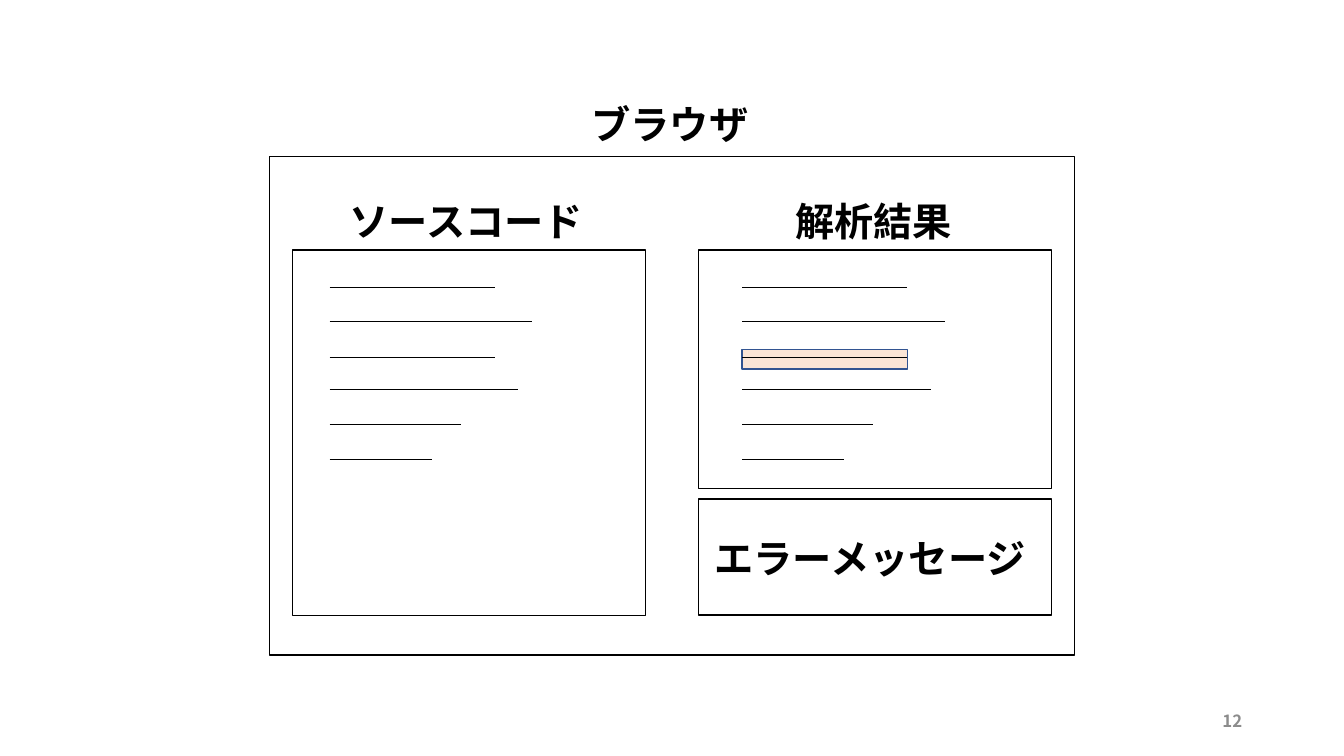
"""Builds a slide sketching a browser with source code, analysis results and errors."""
from lxml import etree
from pptx import Presentation
from pptx.dml.color import RGBColor
from pptx.enum.shapes import MSO_CONNECTOR as Connector, MSO_SHAPE as Shape
from pptx.enum.text import MSO_ANCHOR as Anchor, PP_ALIGN as Align
from pptx.oxml.ns import qn
from pptx.util import Pt

PX = 9144
BLACK = RGBColor(0x00, 0x00, 0x00)
WHITE = RGBColor(0xFF, 0xFF, 0xFF)
GREY = RGBColor(0x8C, 0x8C, 0x8C)
PEACH = RGBColor(0xFB, 0xE5, 0xD6)
BLUE = RGBColor(0x32, 0x54, 0x91)
FONT = "Noto Sans CJK JP"

PANELS = [
    (267, 155, 799, 495),
    (290, 248, 350, 363),
    (693, 248, 350, 237),
    (693, 495, 350, 115),
]
HIGHLIGHT = (736, 347, 164, 19)
LABELS = [
    ("ブラウザ", (577, 95, 180, 57)),
    ("解析結果", (779, 191, 177, 57)),
    ("ソースコード", (337, 191, 256, 57)),
    ("エラーメッセージ", (699, 525, 333, 57)),
]
PAGE_NUMBER = ("12", (942, 695, 300, 40))
CODE_LEFTS = (327, 736)
CODE_LINES = [(285, 164), (319, 201), (355, 164), (386, 187), (421, 130), (456, 101)]


def to_emu(lengths):
    return [length * PX for length in lengths]


def add_box(page, area, fill, outline):
    box = page.shapes.add_shape(Shape.RECTANGLE, *to_emu(area))
    box.shadow.inherit = False
    box.fill.solid()
    box.fill.fore_color.rgb = fill
    box.line.color.rgb = outline
    box.line.width = Pt(1)


def add_text(page, text, area, size=28, color=BLACK, align=Align.LEFT, anchor=Anchor.TOP):
    frame = page.shapes.add_textbox(*to_emu(area)).text_frame
    frame.word_wrap = align == Align.RIGHT
    frame.vertical_anchor = anchor
    para = frame.paragraphs[0]
    para.text = text
    para.alignment = align
    para.font.name = FONT
    para.font.size = Pt(size)
    para.font.bold = True
    para.font.color.rgb = color
    defaults = para._p.pPr.find(qn("a:defRPr"))
    etree.SubElement(defaults, qn("a:ea"), typeface=FONT)


def add_code_line(page, left, top, width):
    ends = to_emu((left, top, left + width, top))
    line = page.shapes.add_connector(Connector.STRAIGHT, *ends)
    line.line.color.rgb = BLACK
    line.line.width = Pt(0.5)
    etree.SubElement(line._element.spPr, qn("a:effectLst"))


def main():
    deck = Presentation()
    deck.slide_width, deck.slide_height = to_emu((1333, 750))
    page = deck.slides.add_slide(deck.slide_layouts[6])
    add_text(page, *PAGE_NUMBER, size=12, color=GREY, align=Align.RIGHT, anchor=Anchor.MIDDLE)
    for area in PANELS:
        add_box(page, area, WHITE, BLACK)
    for text, area in LABELS:
        add_text(page, text, area)
    add_box(page, HIGHLIGHT, PEACH, BLUE)
    for left in CODE_LEFTS:
        for top, width in CODE_LINES:
            add_code_line(page, left, top, width)
    deck.save("out.pptx")


if __name__ == "__main__":
    main()
